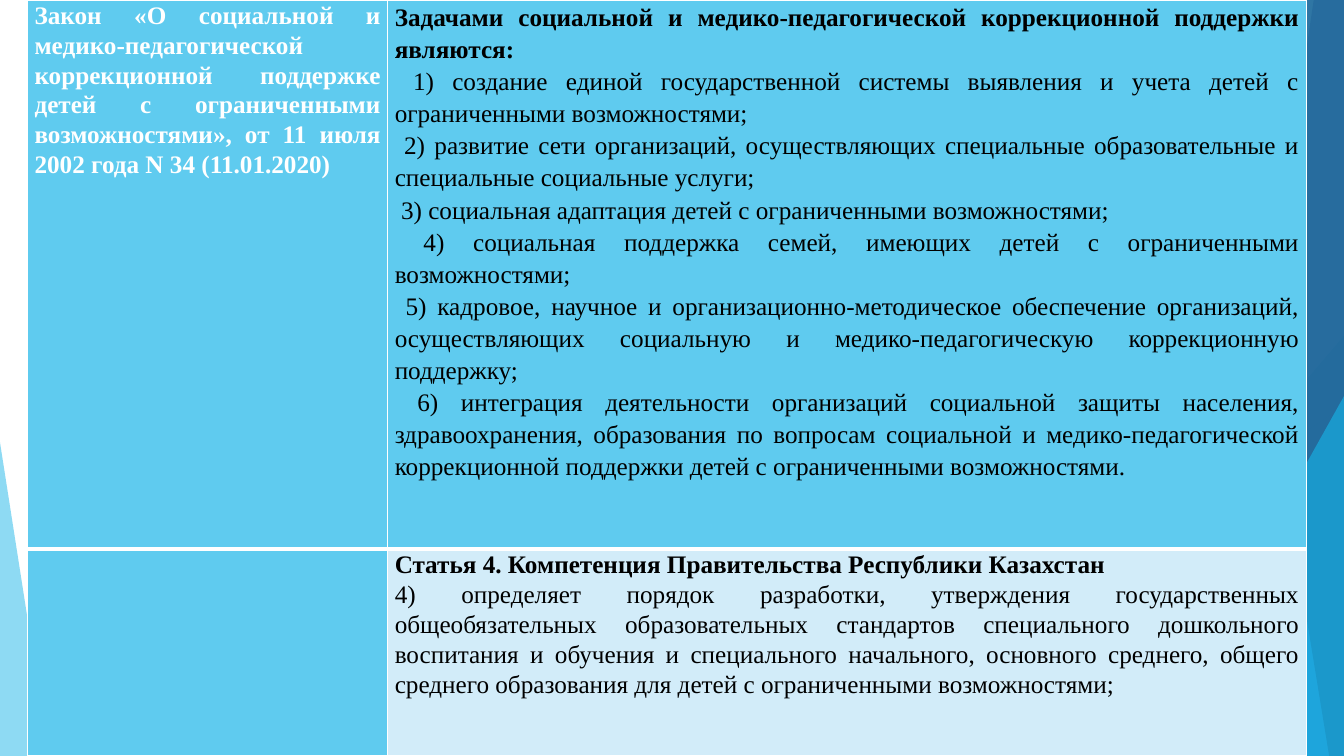
"""Build a slide with a two-column table on a law, over a band of faceted shapes."""
import pptx
import pptx.dml.color
import pptx.enum.shapes
import pptx.enum.text
import pptx.oxml.ns
import pptx.util
from lxml import etree

RGBColor = pptx.dml.color.RGBColor
SKY = RGBColor(0x5F, 0xCB, 0xEF)
AZURE = RGBColor(0x17, 0xB0, 0xE4)
BLUE = RGBColor(0x2E, 0x83, 0xC3)
NAVY = RGBColor(0x22, 0x62, 0x92)
PALE = RGBColor(0xD2, 0xEC, 0xF9)
WHITE = RGBColor(0xFF, 0xFF, 0xFF)
BLACK = RGBColor(0x00, 0x00, 0x00)

WIDTH = pptx.util.Inches(13.333)
HEIGHT = pptx.util.Inches(7.5)
FONT = {"name": "Times New Roman", "size": pptx.util.Pt(18)}
CELL = {"margin_left": pptx.util.Inches(0.07), "margin_right": pptx.util.Inches(0.07),
        "margin_top": 0, "margin_bottom": 0}

RAYS = [((76.9, 0), (86.85, 100)), ((100, 53.7), (60.9, 100))]
BACK_FACETS = [(92.1, 75.3, SKY, 36), (78.75, 88.75, SKY, 20)]
FRONT_FACETS = [(76.6, 96.85, AZURE, 50), (97.75, 89.4, BLUE, 70), (89.7, 98.9, NAVY, 80)]

LAW = ["Закон «О социальной и медико-педагогической коррекционной поддержке детей с "
       "ограниченными возможностями», от 11 июля 2002 года N 34 (11.01.2020)"]
TASKS = [
    "Задачами социальной и медико-педагогической коррекционной поддержки являются: ",
    " 1) создание единой государственной системы выявления и учета детей с ограниченными "
    "возможностями; ",
    " 2) развитие сети организаций, осуществляющих специальные образовательные и специальные "
    "социальные услуги; ",
    " 3) социальная адаптация детей с ограниченными возможностями; ",
    " 4) социальная поддержка семей, имеющих детей с ограниченными возможностями; ",
    " 5) кадровое, научное и организационно-методическое обеспечение организаций, "
    "осуществляющих социальную и медико-педагогическую коррекционную поддержку; ",
    " 6) интеграция деятельности организаций социальной защиты населения, здравоохранения, "
    "образования по вопросам социальной и медико-педагогической коррекционной поддержки детей "
    "с ограниченными возможностями. ",
]
ARTICLE = [
    "Статья 4. Компетенция Правительства Республики Казахстан",
    "4) определяет порядок разработки, утверждения государственных общеобязательных "
    "образовательных стандартов специального дошкольного воспитания и обучения и специального "
    "начального, основного среднего, общего среднего образования для детей с ограниченными "
    "возможностями;",
]


def across(percent):
    """Return a share of the slide's width."""
    return round(WIDTH * percent / 100)


def down(percent):
    """Return a share of the slide's height."""
    return round(HEIGHT * percent / 100)


def set_attributes(target, values):
    """Set every attribute of the target that the dict names."""
    for name, value in values.items():
        setattr(target, name, value)


def add_child(parent, tag, **attributes):
    """Append an XML child with the given attributes."""
    return etree.SubElement(parent, pptx.oxml.ns.qn(tag), **attributes)


def set_alpha(element, percent):
    """Make the only colour of an element partly transparent."""
    colour = next(element.iter(pptx.oxml.ns.qn("a:srgbClr")))
    add_child(colour, "a:alpha", val=str(percent * 1000))


def paint(shape, colour, opacity):
    """Give a shape a translucent fill without line or shadow."""
    shape.shadow.inherit = False
    shape.fill.solid()
    shape.fill.fore_color.rgb = colour
    set_alpha(shape.element.spPr, opacity)
    shape.line.fill.background()


def add_ray(slide, start, end):
    """Draw a thin translucent line."""
    connector = slide.shapes.add_connector(
        pptx.enum.shapes.MSO_CONNECTOR.STRAIGHT,
        across(start[0]), down(start[1]), across(end[0]), down(end[1]))
    connector.line.color.rgb = SKY
    connector.line.width = pptx.util.Pt(0.75)
    properties = connector.element.spPr
    set_alpha(properties, 70)
    add_child(properties, "a:effectLst")


def add_facet(slide, top, bottom, colour, opacity):
    """Fill the area right of a slanted edge that runs from top to bottom."""
    builder = slide.shapes.build_freeform(across(top), 0)
    builder.add_line_segments([(WIDTH, 0), (WIDTH, HEIGHT), (across(bottom), HEIGHT)])
    paint(builder.convert_to_shape(), colour, opacity)


def add_corner(slide, left, right, top, apex, colour, opacity):
    """Add a right-angled triangle that stands on the slide's lower edge."""
    triangle = slide.shapes.add_shape(
        pptx.enum.shapes.MSO_SHAPE.ISOSCELES_TRIANGLE,
        across(left), down(top), across(right - left), down(100 - top))
    triangle.adjustments[0] = apex
    paint(triangle, colour, opacity)


def set_borders(cell, widths):
    """Draw white borders of the given widths around a cell."""
    properties = cell._tc.get_or_add_tcPr()
    for side, points in widths.items():
        line = add_child(properties, f"a:ln{side}", w=str(pptx.util.Pt(points)))
        add_child(add_child(line, "a:solidFill"), "a:srgbClr", val=str(WHITE))


def fill_cell(cell, texts, colour, background, spacing):
    """Write justified paragraphs, the first one bold, into a filled cell."""
    set_attributes(cell, CELL)
    cell.fill.solid()
    cell.fill.fore_color.rgb = background
    layout = {"alignment": pptx.enum.text.PP_ALIGN.JUSTIFY, "line_spacing": spacing}
    for index, text in enumerate(texts):
        frame = cell.text_frame
        paragraph = frame.add_paragraph() if index else frame.paragraphs[0]
        set_attributes(paragraph, layout)
        run = paragraph.add_run()
        run.text = text
        set_attributes(run.font, {**FONT, "bold": index == 0})
        run.font.color.rgb = colour


def add_law_table(slide):
    """Add the table of the law, its tasks and its article."""
    columns, rows = (26.8, 68.35), (72.65, 27.35)
    table = slide.shapes.add_table(
        2, 2, across(2.05), 0, across(sum(columns)), HEIGHT).table
    set_attributes(table, {"first_row": False, "horz_banding": False})
    for column, share in zip(table.columns, columns):
        column.width = across(share)
    for row, share in zip(table.rows, rows):
        row.height = down(share)
    contents = [[(LAW, WHITE, SKY, 1.07), (TASKS, BLACK, SKY, 1.15)],
                [([], BLACK, SKY, 1.07), (ARTICLE, BLACK, PALE, 1.07)]]
    borders = [{"L": 1, "R": 1, "T": 1, "B": 3}, {"L": 1, "R": 1, "T": 3, "B": 1}]
    for row, row_contents, widths in zip(table.rows, contents, borders):
        for cell, content in zip(row.cells, row_contents):
            set_borders(cell, widths)
            fill_cell(cell, *content)


def main():
    """Build and save the presentation."""
    presentation = pptx.Presentation()
    set_attributes(presentation, {"slide_width": WIDTH, "slide_height": HEIGHT})
    slide = presentation.slides.add_slide(presentation.slide_layouts[6])
    for start, end in RAYS:
        add_ray(slide, start, end)
    for facet in BACK_FACETS:
        add_facet(slide, *facet)
    add_corner(slide, 73.3, 100, 44.4, 1, AZURE, 66)
    for facet in FRONT_FACETS:
        add_facet(slide, *facet)
    add_corner(slide, 85.05, 100, 52.4, 1, AZURE, 66)
    add_corner(slide, 0, 3.65, 58.5, 0, SKY, 70)
    add_law_table(slide)
    presentation.save("out.pptx")


if __name__ == "__main__":
    main()
